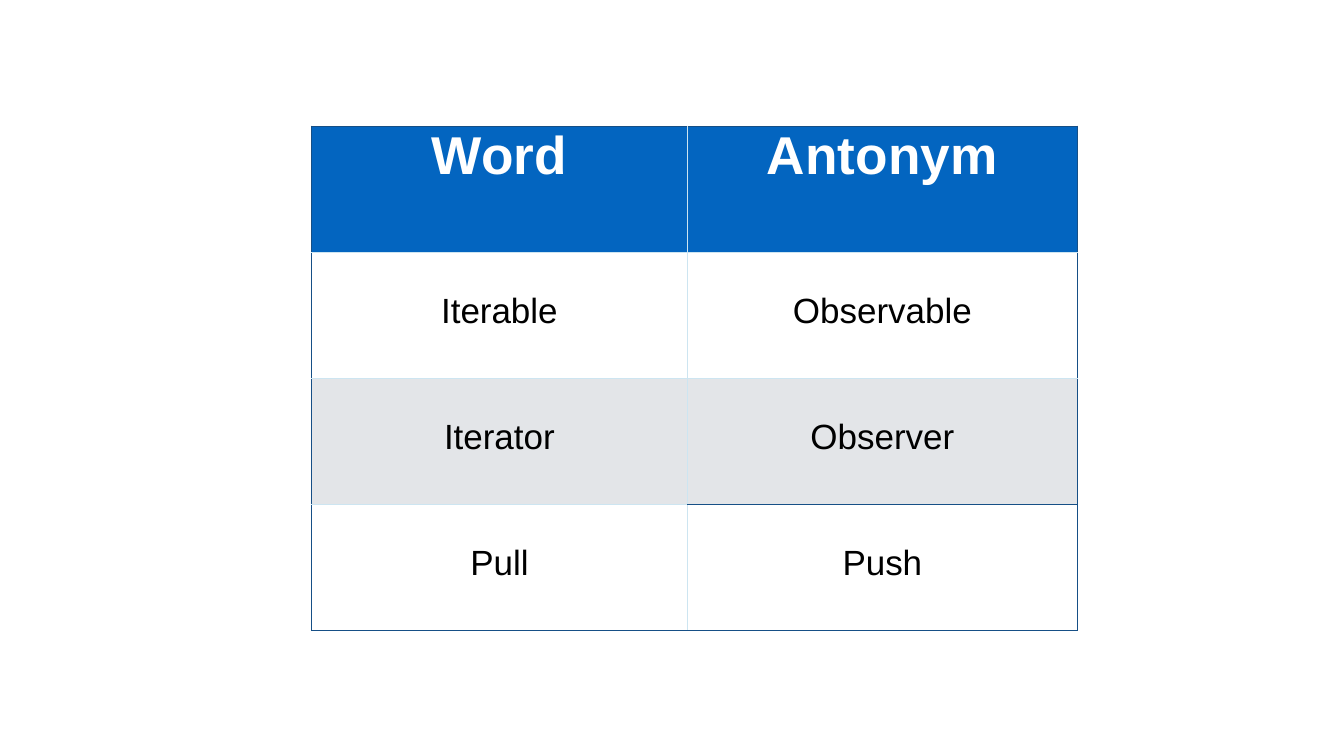
import lxml.etree
import pptx
import pptx.dml.color
import pptx.enum.text
import pptx.oxml.ns
import pptx.util

Cm = pptx.util.Cm
Pt = pptx.util.Pt
RGBColor = pptx.dml.color.RGBColor
qn = pptx.oxml.ns.qn

BLUE = RGBColor(0x03, 0x65, 0xC0)
GREY = RGBColor(0xE3, 0xE5, 0xE8)
WHITE = RGBColor(0xFF, 0xFF, 0xFF)
BLACK = RGBColor(0, 0, 0)
NAVY = RGBColor(0x16, 0x4F, 0x86)
PALE = RGBColor(0xCD, 0xE5, 0xF1)

WORDS = [("Word", "Antonym"), ("Iterable", "Observable"),
         ("Iterator", "Observer"), ("Pull", "Push")]
COL_WIDTHS = [9.47, 9.83]
ROW_HEIGHT = 3.175
FILLS = [BLUE, None, GREY, None]
STRONG = (NAVY, 1)
LIGHT = (PALE, 0.25)


class SlideBuilder:
    """Holds the text styles and the current slide."""

    header = {"name": "Arial", "size": Pt(38), "bold": True}
    body = {"name": "Arial", "size": Pt(25), "bold": False}

    def __init__(self, s):
        self.s = s

    def borders(self, cell, edges):
        """Draw the four cell edges, given in the order L, R, T, B."""
        tc_pr = cell._tc.get_or_add_tcPr()
        for i, (side, (color, width)) in enumerate(zip("LRTB", edges)):
            ln = lxml.etree.Element(qn(f"a:ln{side}"), w=str(int(Pt(width))))
            fill = lxml.etree.SubElement(ln, qn("a:solidFill"))
            lxml.etree.SubElement(fill, qn("a:srgbClr"), val=str(color))
            tc_pr.insert(i, ln)

    def cell(self, cell, text, style, color, fill, top):
        """Fill one cell with centred text."""
        margins = {"margin_left": 0, "margin_right": 0,
                   "margin_top": top, "margin_bottom": 0}
        for key, value in margins.items():
            setattr(cell, key, value)
        if fill is None:
            cell.fill.background()
        else:
            cell.fill.solid()
            cell.fill.fore_color.rgb = fill
        p = cell.text_frame.paragraphs[0]
        p.alignment = pptx.enum.text.PP_ALIGN.CENTER
        r = p.add_run()
        r.text = text
        for key, value in style.items():
            setattr(r.font, key, value)
        r.font.color.rgb = color

    def table(self, rows, left, top):
        """Add the word table with a dark frame and light inner lines."""
        last_row, last_col = len(rows) - 1, len(COL_WIDTHS) - 1
        table = self.s.shapes.add_table(
            len(rows), len(COL_WIDTHS), Cm(left), Cm(top),
            Cm(sum(COL_WIDTHS)), Cm(ROW_HEIGHT * len(rows))).table
        table.first_row = table.horz_banding = False
        for col, width in zip(table.columns, COL_WIDTHS):
            col.width = Cm(width)
        for i, row in enumerate(rows):
            table.rows[i].height = Cm(ROW_HEIGHT)
            for j, text in enumerate(row):
                cell = table.cell(i, j)
                if i == 0:
                    self.cell(cell, text, self.header, WHITE, FILLS[i], 0)
                else:
                    self.cell(cell, text, self.body, BLACK, FILLS[i], Cm(1.01))
                last = j == last_col
                dark = (j == 0, last, i == 0 or (last and i == last_row),
                        i == last_row or (last and i == last_row - 1))
                self.borders(cell, [STRONG if d else LIGHT for d in dark])


def main():
    """Build the slide and save it."""
    prs = pptx.Presentation()
    prs.slide_width, prs.slide_height = Cm(33.87), Cm(19.05)
    builder = SlideBuilder(prs.slides.add_slide(prs.slide_layouts[6]))
    builder.table(WORDS, 7.85, 3.18)
    prs.save("out.pptx")


if __name__ == "__main__":
    main()
